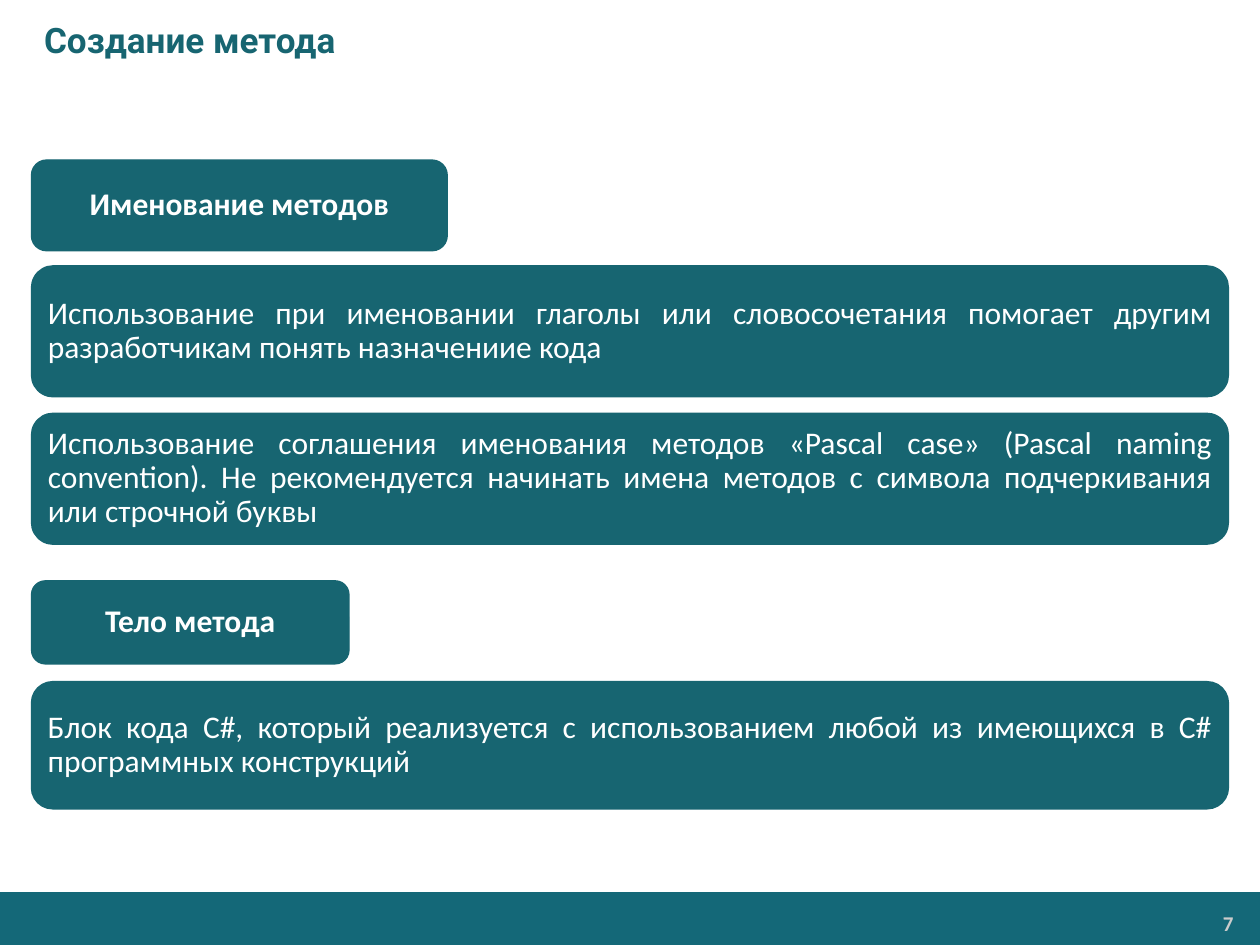
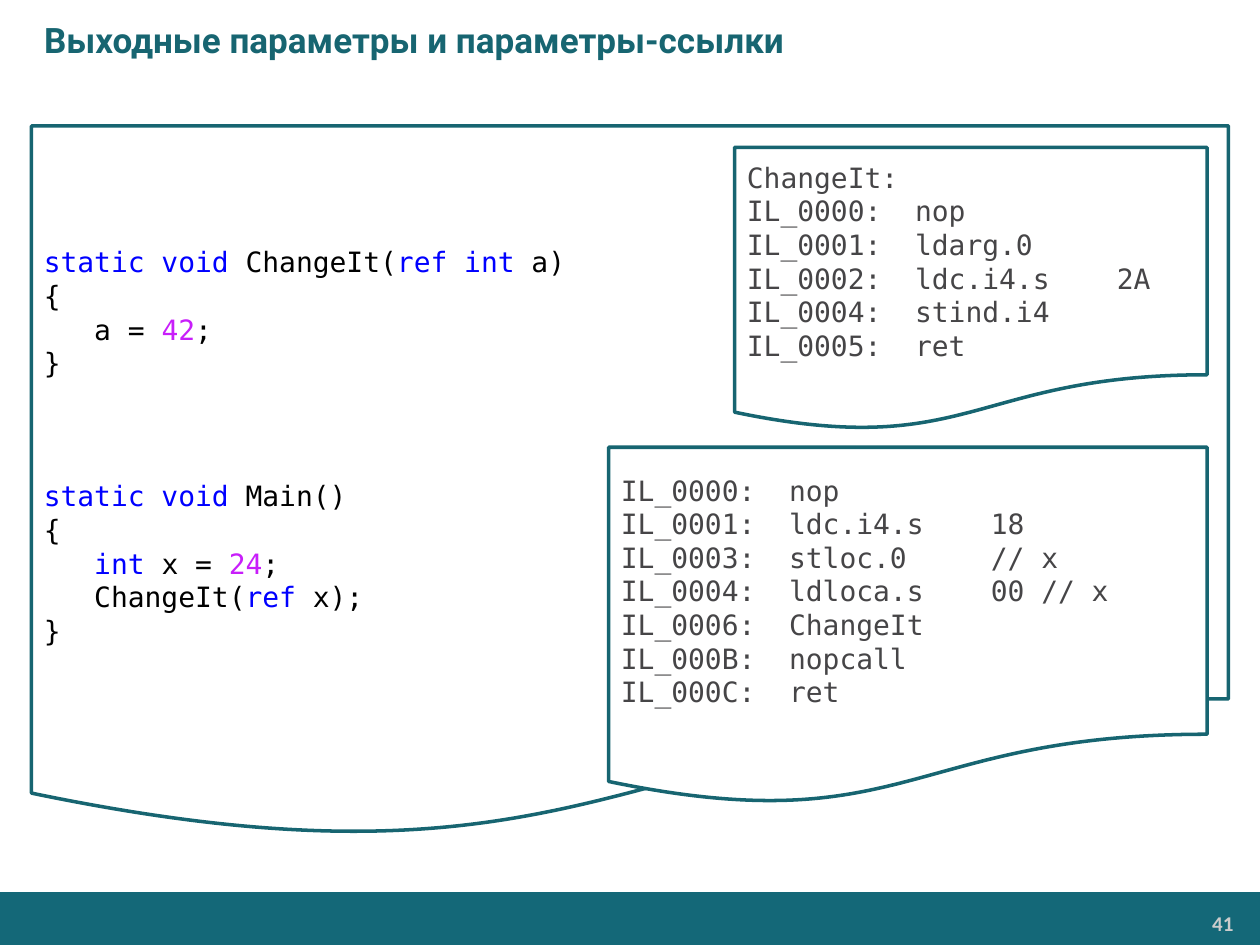
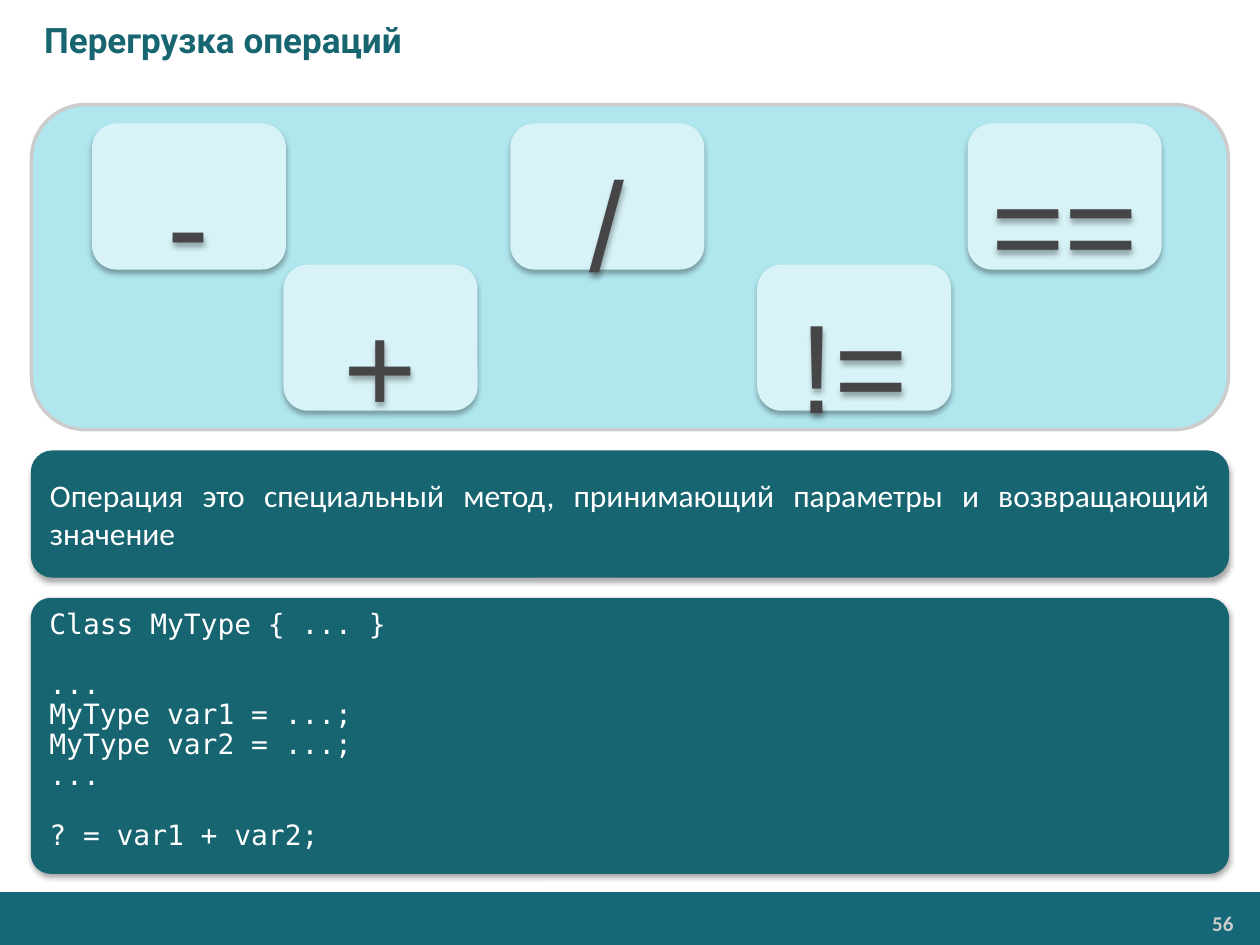
from lxml.etree import SubElement
from pptx import Presentation
from pptx.dml.color import RGBColor
from pptx.enum.shapes import MSO_SHAPE as SHAPE
from pptx.enum.text import MSO_ANCHOR as ANCHOR, PP_ALIGN as ALIGN
from pptx.oxml.ns import qn
from pptx.util import Inches, Pt

COLORS = {
    "teal": "176571", "band": "146878", "white": "FFFFFF", "black": "000000",
    "gray": "CCCCCC", "ink": "464547", "panel": "B0E7EF", "tile": "D7F3F7",
    "keyword": "0000FF", "number": "C81EFA",
}
BODY, HEADING, CODE = "Calibri", "Roboto", "DejaVu Sans Mono"
LEFT, WIDTH = 0.25, 9.5


def rgb(name):
    return RGBColor.from_string(COLORS[name])


def write(shape, paragraphs, size=18, font=BODY, color="white", bold=False,
          align=ALIGN.LEFT, anchor=ANCHOR.MIDDLE, margins=(0.1, 0.05, 0.1, 0.05),
          spacing=None, gaps=None):
    """Each paragraph is a string or a list of (text, color) runs;
    gaps maps a paragraph's index to the points of space before it."""
    frame = shape.text_frame
    frame.word_wrap = True
    frame.vertical_anchor = anchor
    (frame.margin_left, frame.margin_top,
     frame.margin_right, frame.margin_bottom) = map(Inches, margins)
    for index, runs in enumerate(paragraphs):
        paragraph = frame.paragraphs[0] if index == 0 else frame.add_paragraph()
        paragraph.alignment = align
        if spacing:
            paragraph.line_spacing = spacing
        if gaps and index in gaps:
            paragraph.space_before = Pt(gaps[index])
        if isinstance(runs, str):
            runs = [(runs, color)]
        for text, run_color in runs:
            run = paragraph.add_run()
            run.text = text
            run.font.name = font
            run.font.size = Pt(size)
            run.font.bold = bold
            run.font.color.rgb = rgb(run_color)


def cast_shadow(shape, opacity, blur, distance):
    """Drop a black shadow straight down; opacity in percent, lengths in points."""
    shape.shadow.inherit = False
    effects = shape._element.spPr.find(qn("a:effectLst"))
    outer = SubElement(effects, qn("a:outerShdw"), blurRad=str(Pt(blur)),
                       dist=str(Pt(distance)), dir="5400000", rotWithShape="0")
    black = SubElement(outer, qn("a:srgbClr"), val=COLORS["black"])
    SubElement(black, qn("a:alpha"), val=str(opacity * 1000))


class Deck:
    def __init__(self):
        self.presentation = Presentation()
        self.presentation.slide_width = Inches(10)
        self.presentation.slide_height = Inches(7.5)
        self.slide = None

    def start(self, title, number):
        """Add a slide with its footer band, page number and title."""
        self.slide = self.presentation.slides.add_slide(
            self.presentation.slide_layouts[6])
        self.shape(SHAPE.RECTANGLE, 0, 7.08, 10, 0.43, "band")
        self.label(8.23, 7.19, 1.63, 0.28, number, size=12, color="gray", bold=True,
                   align=ALIGN.RIGHT, anchor=ANCHOR.TOP, margins=(0.07, 0.04, 0.07, 0.04))
        self.label(0, 0, 10, 0.63, title, size=20, font=HEADING, color="teal",
                   bold=True, margins=(0.35, 0.05, 0.1, 0.05))

    def shape(self, kind, left, top, width, height, fill, line=None, weight=0.75,
              corner=None, parent=None):
        shape = (parent or self.slide).shapes.add_shape(
            kind, *map(Inches, (left, top, width, height)))
        shape.shadow.inherit = False
        shape.fill.solid()
        shape.fill.fore_color.rgb = rgb(fill)
        if line:
            shape.line.color.rgb = rgb(line)
            shape.line.width = Pt(weight)
        else:
            shape.line.fill.background()
        if corner is not None:
            shape.adjustments[0] = corner
        return shape

    def label(self, left, top, width, height, text, parent=None, **style):
        box = (parent or self.slide).shapes.add_textbox(
            *map(Inches, (left, top, width, height)))
        write(box, [text], **style)
        return box

    def card(self, top, height, paragraphs, width=WIDTH, corner=None, **style):
        card = self.shape(SHAPE.ROUNDED_RECTANGLE, LEFT, top, width, height,
                          "teal", "teal", corner=corner)
        write(card, paragraphs, **style)
        return card

    def listing(self, left, top, width, height, lines, **style):
        page = self.shape(SHAPE.FLOWCHART_DOCUMENT, left, top, width, height,
                          "white", "teal", weight=2)
        write(page, lines, size=16, font=CODE, **style)

    def operator(self, left, top, sign):
        group = self.slide.shapes.add_group_shape()
        tile = self.shape(SHAPE.ROUNDED_RECTANGLE, left, top, 1.54, 1.16, "tile",
                          parent=group)
        symbol = self.label(left, top - 0.65, 1.54, 1.83, sign, parent=group, size=72,
                            font="Arial", color="ink", align=ALIGN.CENTER,
                            anchor=ANCHOR.TOP, spacing=1.65)
        for part in (tile, symbol):
            cast_shadow(part, 32, 3.5, 2.2)


def build_method_slide(deck):
    deck.start("Создание метода", "7")
    margins = (0.08,) * 4
    for top, width, height, heading in (
        (1.27, 3.3, 0.72, "Именование методов"),
        (4.61, 2.52, 0.66, "Тело метода"),
    ):
        deck.card(top, height, [heading], width=width, bold=True, align=ALIGN.CENTER,
                  margins=margins, spacing=0.9)
    for top, height, rule in (
        (2.11, 1.04, "Использование при именовании глаголы или словосочетания помогает "
                     "другим разработчикам понять назначениие кода"),
        (3.28, 1.04, "Использование соглашения именования методов «Pascal case» (Pascal "
                     "naming convention). Не рекомендуется начинать имена методов с "
                     "символа подчеркивания или строчной буквы"),
        (5.41, 1.01, "Блок кода C#, который реализуется с использованием любой из "
                     "имеющихся в C# программных конструкций"),
    ):
        deck.card(top, height, [rule], align=ALIGN.JUSTIFY, margins=margins, spacing=0.9)


def build_parameters_slide(deck):
    deck.start("Выходные параметры и параметры-ссылки", "41")
    source = [
        [("static void ", "keyword"), ("ChangeIt(", "black"), ("ref int", "keyword"),
         (" a)", "black")],
        "{",
        [("   a = ", "black"), ("42", "number"), (";", "black")],
        "}",
        [("static void", "keyword"), (" Main()", "black")],
        "{",
        [("   int", "keyword"), (" x = ", "black"), ("24", "number"), (";", "black")],
        [("   ChangeIt(", "black"), ("ref", "keyword"), (" x);", "black")],
        "}",
    ]
    deck.listing(LEFT, 1, WIDTH, 5.67, source, color="black",
                 margins=(0.1, 0.58, 0.1, 0.05), gaps={4: 57})
    deck.listing(5.83, 1.17, 3.75, 2.25, [
        "ChangeIt:",
        "IL_0000:  nop",
        "IL_0001:  ldarg.0",
        "IL_0002:  ldc.i4.s    2A",
        "IL_0004:  stind.i4",
        "IL_0005:  ret",
    ], color="ink")
    deck.listing(4.83, 3.55, 4.75, 2.84, [
        "IL_0000:  nop",
        "IL_0001:  ldc.i4.s    18",
        "IL_0003:  stloc.0     // x",
        "IL_0004:  ldloca.s    00 // x",
        "IL_0006:  ChangeIt",
        "IL_000B:  nopcall",
        "IL_000C:  ret",
    ], color="ink")


def build_operators_slide(deck):
    deck.start("Перегрузка операций", "56")
    deck.shape(SHAPE.ROUNDED_RECTANGLE, LEFT, 0.83, WIDTH, 2.58, "panel", "gray", weight=2)
    upper, lower = 0.98, 2.1
    for left, top, sign in ((4.05, upper, "/"), (2.25, lower, "+"), (0.73, upper, "-"),
                            (6.01, lower, "!="), (7.68, upper, "==")):
        deck.operator(left, top, sign)
    definition = deck.card(3.58, 1, [
        "Операция это специальный метод, принимающий параметры и возвращающий значение",
    ], align=ALIGN.JUSTIFY)
    cast_shadow(definition, 35, 3.1, 1.8)
    usage = deck.card(4.75, 2.18, [
        "Class MyType { ... }",
        "...",
        "MyType var1 = ...;",
        "MyType var2 = ...;",
        "...",
        "? = var1 + var2;",
    ], corner=0.07, size=16, font=CODE, anchor=ANCHOR.TOP, spacing=0.9, gaps={1: 17, 5: 17})
    cast_shadow(usage, 38, 3.1, 1.6)


def main():
    deck = Deck()
    build_method_slide(deck)
    build_parameters_slide(deck)
    build_operators_slide(deck)
    deck.presentation.save("out.pptx")


if __name__ == "__main__":
    main()
